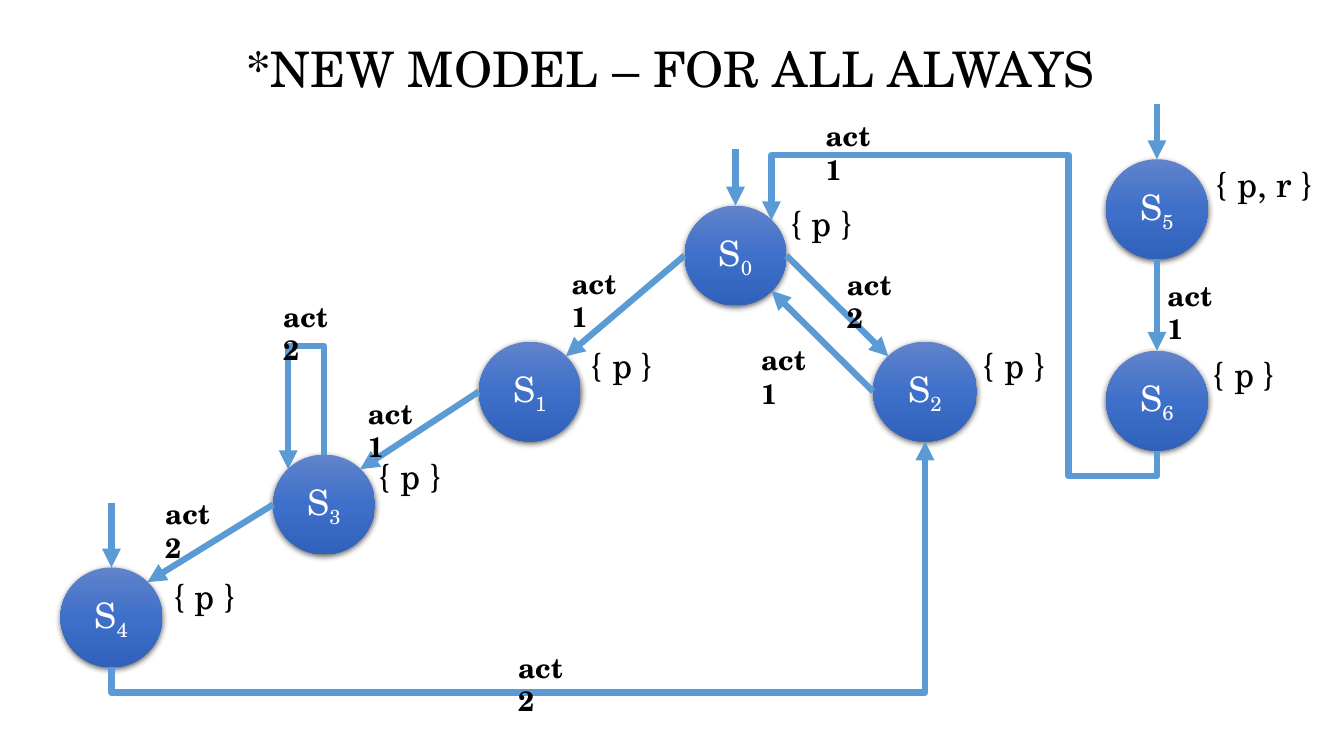
from copy import deepcopy
from dataclasses import dataclass
from math import cos, radians, sin

from pptx import Presentation
from pptx.dml.color import RGBColor
from pptx.enum.shapes import MSO_CONNECTOR, MSO_SHAPE
from pptx.enum.text import MSO_ANCHOR, MSO_AUTO_SIZE, PP_ALIGN
from pptx.oxml import parse_xml
from pptx.oxml.ns import nsdecls, qn
from pptx.util import Inches, Pt

BLACK = RGBColor(0x00, 0x00, 0x00)
WHITE = RGBColor(0xFF, 0xFF, 0xFF)
SKY = RGBColor(0x5B, 0x9B, 0xD5)
SHADES = (
    RGBColor(0x61, 0x83, 0xCB),
    RGBColor(0x3E, 0x70, 0xCA),
    RGBColor(0x30, 0x62, 0xBB),
)
FACE = "TeX Gyre Schola"
TITLE = {"name": FACE, "size": Pt(35)}
STATE = {"name": FACE, "size": Pt(25)}
ACTION = {"name": FACE, "size": Pt(20), "bold": True}
RIGHT, UP, LEFT, DOWN = 0, 90, 180, 270
HIGH, CORNER, LOW = 45, 135, 315

Point = tuple[float, float]


@dataclass
class State:
    left: float
    top: float
    tag: Point
    props: str = "{ p }"
    width: float = 1.01
    height: float = 0.99

    def port(self, angle: int) -> Point:
        turn = radians(angle)
        return (
            self.left + self.width / 2 * (1 + cos(turn)),
            self.top + self.height / 2 * (1 - sin(turn)),
        )


@dataclass
class Edge:
    source: int
    exit: int
    target: int
    entry: int


@dataclass
class Bend:
    edge: Edge
    turn: int
    adjust: tuple[int, ...]


@dataclass
class Label:
    text: str
    left: float
    top: float


STATES = [
    State(6.79, 2.04, (7.74, 1.95)),
    State(4.75, 3.39, (5.76, 3.36)),
    State(8.66, 3.39, (9.65, 3.36), width=1.03),
    State(2.71, 4.51, (3.66, 4.46)),
    State(0.6, 5.63, (1.62, 5.65)),
    State(10.97, 1.58, (11.96, 1.56), "{ p, r }"),
    State(10.97, 3.48, (11.93, 3.45)),
]
STARTS = {0: 0.56, 4: 0.64, 5: 0.55}
EDGES = [
    Edge(0, LEFT, 1, HIGH),
    Edge(0, RIGHT, 2, CORNER),
    Edge(1, LEFT, 3, HIGH),
    Edge(3, LEFT, 4, HIGH),
    Edge(5, DOWN, 6, UP),
    Edge(2, LEFT, 0, LOW),
]
BENDS = [
    Bend(Edge(6, DOWN, 0, HIGH), 90, (-11000, 22900, 128200)),
    Bend(Edge(3, UP, 3, CORNER), 270, (-745000,)),
    Bend(Edge(4, DOWN, 2, DOWN), 90, (-11200,)),
]
LABELS = [
    Label("act1", 11.48, 2.71),
    Label("act1", 3.55, 3.88),
    Label("act2", 1.54, 4.88),
    Label("act1", 5.57, 2.59),
    Label("act2", 8.3, 2.6),
    Label("act1", 8.09, 1.13),
    Label("act2", 2.71, 2.92),
    Label("act2", 5.04, 6.4),
    Label("act1", 7.45, 3.35),
]


def add_run(para, text: str, style: dict, color: RGBColor) -> None:
    run = para.add_run()
    run.text = text
    for name, value in style.items():
        setattr(run.font, name, value)
    run.font.color.rgb = color


def add_text(slide, text: str, box: tuple, style: dict, wrap: bool = False):
    frame = slide.shapes.add_textbox(*map(Inches, box)).text_frame
    frame.word_wrap = wrap
    frame.auto_size = MSO_AUTO_SIZE.SHAPE_TO_FIT_TEXT
    para = frame.paragraphs[0]
    add_run(para, text, style, BLACK)
    return para


def add_state(slide, index: int, state: State) -> None:
    box = (state.left, state.top, state.width, state.height)
    oval = slide.shapes.add_shape(MSO_SHAPE.OVAL, *map(Inches, box))
    oval.line.fill.background()
    oval.fill.gradient()
    oval.fill.gradient_angle = 270
    stops = oval.element.spPr.find(".//" + qn("a:gsLst"))
    stops.append(deepcopy(stops[0]))
    for step, (stop, shade) in enumerate(zip(oval.fill.gradient_stops, SHADES)):
        stop.position = step / 2
        stop.color.rgb = shade
    oval.shadow.inherit = False
    oval.element.spPr.find(qn("a:effectLst")).append(parse_xml(
        f'<a:outerShdw {nsdecls("a")} blurRad="{Pt(4.5)}" dist="{Pt(1.5)}" '
        f'dir="5400000" algn="ctr" rotWithShape="0"><a:srgbClr val="{BLACK}">'
        '<a:alpha val="63000"/></a:srgbClr></a:outerShdw>'
    ))
    frame = oval.text_frame
    frame.vertical_anchor = MSO_ANCHOR.MIDDLE
    para = frame.paragraphs[0]
    para.alignment = PP_ALIGN.CENTER
    for part in ("S", str(index)):
        add_run(para, part, STATE, WHITE)
    oval.element.xpath(".//a:rPr")[-1].set("baseline", "-25000")
    width = 0.99 if state.props == "{ p }" else 1.37
    add_text(slide, state.props, (*state.tag, width, 0.52), STATE)


def add_arrow(slide, start: Point, end: Point, kind=MSO_CONNECTOR.STRAIGHT):
    arrow = slide.shapes.add_connector(kind, *map(Inches, (*start, *end)))
    arrow.line.color.rgb = SKY
    arrow.line.width = Pt(4.5)
    props = arrow.element.spPr
    tail = parse_xml(f'<a:tailEnd {nsdecls("a")} type="triangle"/>')
    props.find(qn("a:ln")).append(tail)
    props.append(parse_xml(f'<a:effectLst {nsdecls("a")}/>'))
    return arrow


def get_ends(edge: Edge) -> tuple[Point, Point]:
    return STATES[edge.source].port(edge.exit), STATES[edge.target].port(edge.entry)


def add_bend(slide, bend: Bend) -> None:
    start, end = get_ends(bend.edge)
    mid_x, mid_y = ((a + b) / 2 for a, b in zip(start, end))
    sign = sin(radians(bend.turn))
    turned = [
        (mid_x + sign * (y - mid_y), mid_y - sign * (x - mid_x))
        for x, y in (start, end)
    ]
    arrow = add_arrow(slide, *turned, MSO_CONNECTOR.ELBOW)
    props = arrow.element.spPr
    props.find(qn("a:xfrm")).set("rot", str(bend.turn * 60000))
    shape = props.find(qn("a:prstGeom"))
    shape.set("prst", f"bentConnector{len(bend.adjust) + 2}")
    guides = shape.find(qn("a:avLst"))
    for spot, value in enumerate(bend.adjust, 1):
        guides.append(parse_xml(
            f'<a:gd {nsdecls("a")} name="adj{spot}" fmla="val {value}"/>'
        ))


def main() -> None:
    deck = Presentation()
    deck.slide_width, deck.slide_height = Inches(13.33), Inches(7.5)
    slide = deck.slides.add_slide(deck.slide_layouts[6])
    title = add_text(
        slide, "*NEW MODEL – FOR ALL ALWAYS ", (2.24, 0.33, 8.96, 0.69), TITLE
    )
    title.alignment = PP_ALIGN.CENTER
    for index, state in enumerate(STATES):
        add_state(slide, index, state)
    for index, length in STARTS.items():
        x, y = STATES[index].port(UP)
        add_arrow(slide, (x, y - length), (x, y))
    for edge in EDGES:
        add_arrow(slide, *get_ends(edge))
    for bend in BENDS:
        add_bend(slide, bend)
    for label in LABELS:
        box = (label.left, label.top, 0.72, 0.44)
        add_text(slide, label.text, box, ACTION, wrap=True)
    deck.save("out.pptx")


if __name__ == "__main__":
    main()
